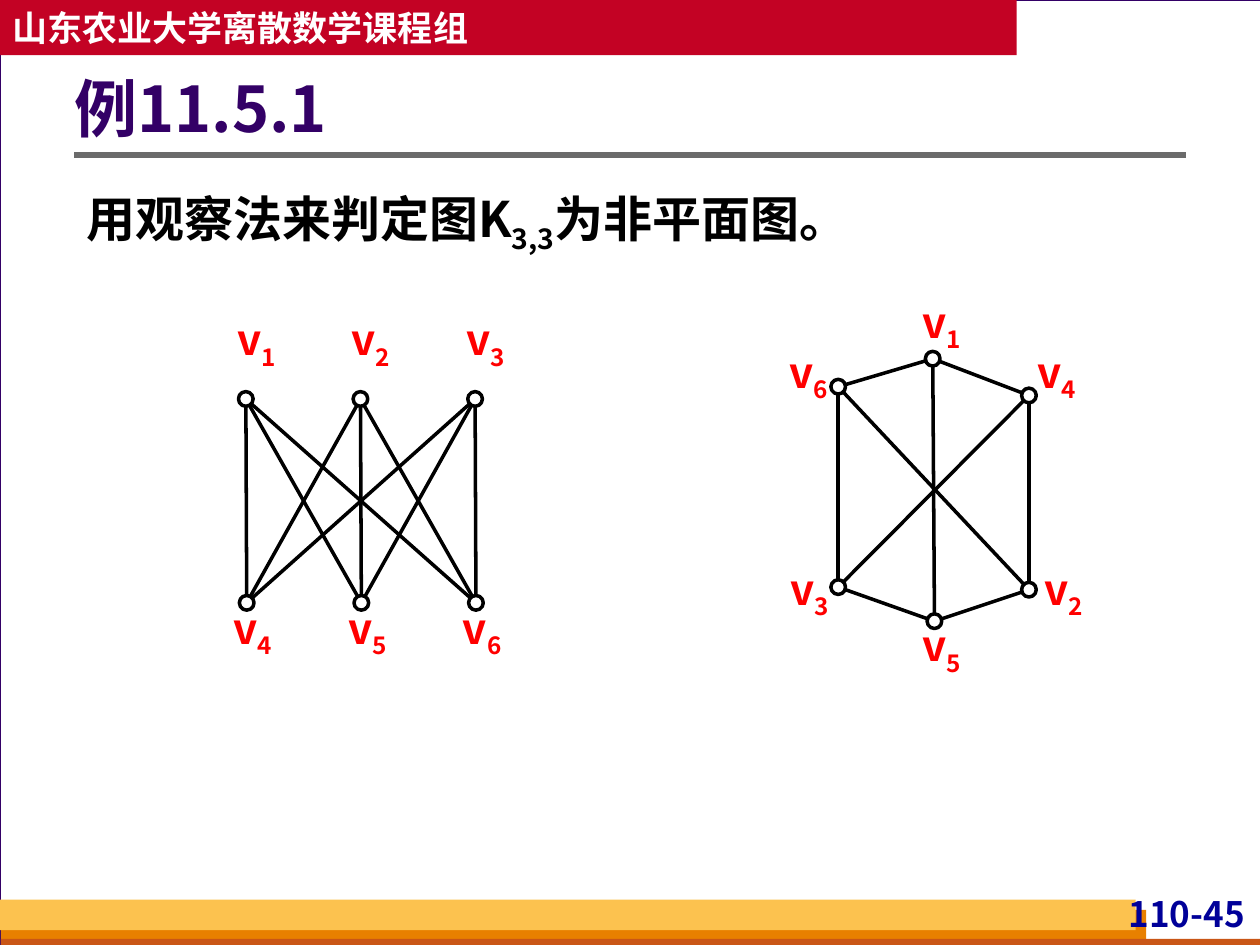
import itertools
import math

import pptx
import pptx.dml.color
import pptx.enum.shapes
import pptx.enum.text
import pptx.oxml.ns
import pptx.util
from lxml import etree

Pt = pptx.util.Pt
SHAPE = pptx.enum.shapes.MSO_SHAPE
ANCHOR = pptx.enum.text.MSO_ANCHOR
ALIGN = pptx.enum.text.PP_ALIGN
qn = pptx.oxml.ns.qn

# Content
FONT = "Noto Sans CJK SC"
COLORS = {
    "page": "D8DADA", "white": "FFFFFF", "black": "000000", "purple": "330066",
    "orange": "E88000", "rust": "C95616", "yellow": "FCC24F", "rule": "6B6B6B",
    "banner": "C30224", "number": "000099", "label": "FF0000",
}
HEADER = "山东农业大学离散数学课程组"
TITLE = "例11.5.1"
STATEMENT = [("用观察法来判定图K", False), ("3,3", True), ("为非平面图。", False)]
PAGE_NUMBER = "110-45"

# Background and footer bands: left, top, width, height, fill
BANDS = [
    (0.5, 520, 654.5, 20, "orange"),
    (0.5, 536.5, 720, 5.5, "rust"),
    (0, 514, 649, 17.5, "yellow"),
]

# Both drawings of K3,3 join each of v1-v3 to each of v4-v6
EDGES = list(itertools.product((1, 2, 3), (4, 5, 6)))
RADIUS = 4.2
LABEL_W, LABEL_H = 34, 33

# Vertex number: centre x, centre y, label left, label top
COLUMN_X, COLUMN_GAP = 140.5, 65.5
bipartite = {}
for i in range(3):
    x = COLUMN_X + i * COLUMN_GAP
    bipartite[i + 1] = (x, 228, x - 11, 179.3)
    bipartite[i + 4] = (x + 0.5, 344.5, x - 13, 344.2)
hexagon = {
    1: (533, 205, 521.3, 169.2),
    2: (588, 337, 591, 321.8),
    3: (479, 335.5, 445.5, 321.8),
    4: (588, 226, 586.8, 198),
    5: (534, 355, 521.3, 354.2),
    6: (479, 221, 445, 198),
}


def rgb(name):
    return pptx.dml.color.RGBColor.from_string(COLORS[name])


def add_shape(shapes, kind, box, fill, line=None, width=0.75):
    s = shapes.add_shape(kind, *map(Pt, box))
    s.shadow.inherit = False
    s.fill.solid()
    s.fill.fore_color.rgb = rgb(fill)
    if line:
        s.line.color.rgb = rgb(line)
        s.line.width = Pt(width)
    else:
        s.line.fill.background()
    return s


def add_line(shapes, start, end, color, width):
    s = shapes.add_connector(pptx.enum.shapes.MSO_CONNECTOR.STRAIGHT,
                             *map(Pt, (*start, *end)))
    s.line.color.rgb = rgb(color)
    s.line.width = Pt(width)
    etree.SubElement(s._element.spPr, qn("a:effectLst"))


def write(s, parts, size, color, align=ALIGN.LEFT, anchor=ANCHOR.TOP,
          insets=(7.2, 3.6, 7.2, 3.6), spacing=None):
    """Fill a shape with one paragraph of (text, is_subscript) parts."""
    tf = s.text_frame
    tf.word_wrap = True
    tf.vertical_anchor = anchor
    tf.margin_left, tf.margin_top, tf.margin_right, tf.margin_bottom = map(Pt, insets)
    p = tf.paragraphs[0]
    p.alignment = align
    if spacing:
        p.line_spacing = spacing
    for text, subscript in parts:
        r = p.add_run()
        r.text = text
        r.font.size = Pt(size)
        r.font.bold = True
        r.font.name = FONT
        r.font.color.rgb = rgb(color)
        rPr = r.font._element
        etree.SubElement(rPr, qn("a:ea")).set("typeface", FONT)
        if subscript:
            rPr.set("baseline", "-25000")


def add_text(shapes, box, *args, **kwargs):
    write(shapes.add_textbox(*map(Pt, box)), *args, **kwargs)


def draw_graph(slide, vertices):
    shapes = slide.shapes.add_group_shape().shapes
    # Edges run from rim to rim
    for a, b in EDGES:
        (ax, ay), (bx, by) = vertices[a][:2], vertices[b][:2]
        length = math.dist((ax, ay), (bx, by))
        dx, dy = (bx - ax) / length * RADIUS, (by - ay) / length * RADIUS
        add_line(shapes, (ax + dx, ay + dy), (bx - dx, by - dy), "black", 2)
    for number, (x, y, left, top) in vertices.items():
        add_shape(shapes, SHAPE.OVAL,
                  (x - RADIUS, y - RADIUS, 2 * RADIUS, 2 * RADIUS), "white", "black", 2)
        add_text(shapes, (left, top, LABEL_W, LABEL_H),
                 [("v", False), (str(number), True)], 24, "label",
                 align=ALIGN.CENTER, insets=(0, 0, 0, 0))


prs = pptx.Presentation()
prs.slide_width, prs.slide_height = Pt(720), Pt(540)
slide = prs.slides.add_slide(prs.slide_layouts[6])
slide.background.fill.solid()
slide.background.fill.fore_color.rgb = rgb("page")

# Page frame, footer and header
add_shape(slide.shapes, SHAPE.RECTANGLE, (0, 0, 720.5, 540), "white", "purple")
for *box, fill in BANDS:
    add_shape(slide.shapes, SHAPE.RECTANGLE, box, fill)
add_text(slide.shapes, (626.5, 509.8, 87.8, 27.4), [(PAGE_NUMBER, False)], 20, "number",
         align=ALIGN.RIGHT, insets=(3, 0, 3, 0))
add_line(slide.shapes, (42.5, 88.5), (677.5, 88.5), "rule", 3)
banner = add_shape(slide.shapes, SHAPE.RECTANGLE, (0, 0, 581, 31.5), "banner")
write(banner, [(HEADER, False)], 20, "white", anchor=ANCHOR.MIDDLE)

# Title and statement
add_text(slide.shapes, (42.5, 27.4, 635, 72.7), [(TITLE, False)], 36, "purple",
         anchor=ANCHOR.MIDDLE, insets=(0, 3.6, 7.2, 3.6), spacing=0.9)
add_text(slide.shapes, (42.5, 96.5, 635, 53.3), STATEMENT, 28, "black",
         align=ALIGN.JUSTIFY, spacing=1.2)

# The two drawings of K3,3
for vertices in (bipartite, hexagon):
    draw_graph(slide, vertices)

prs.save("out.pptx")
